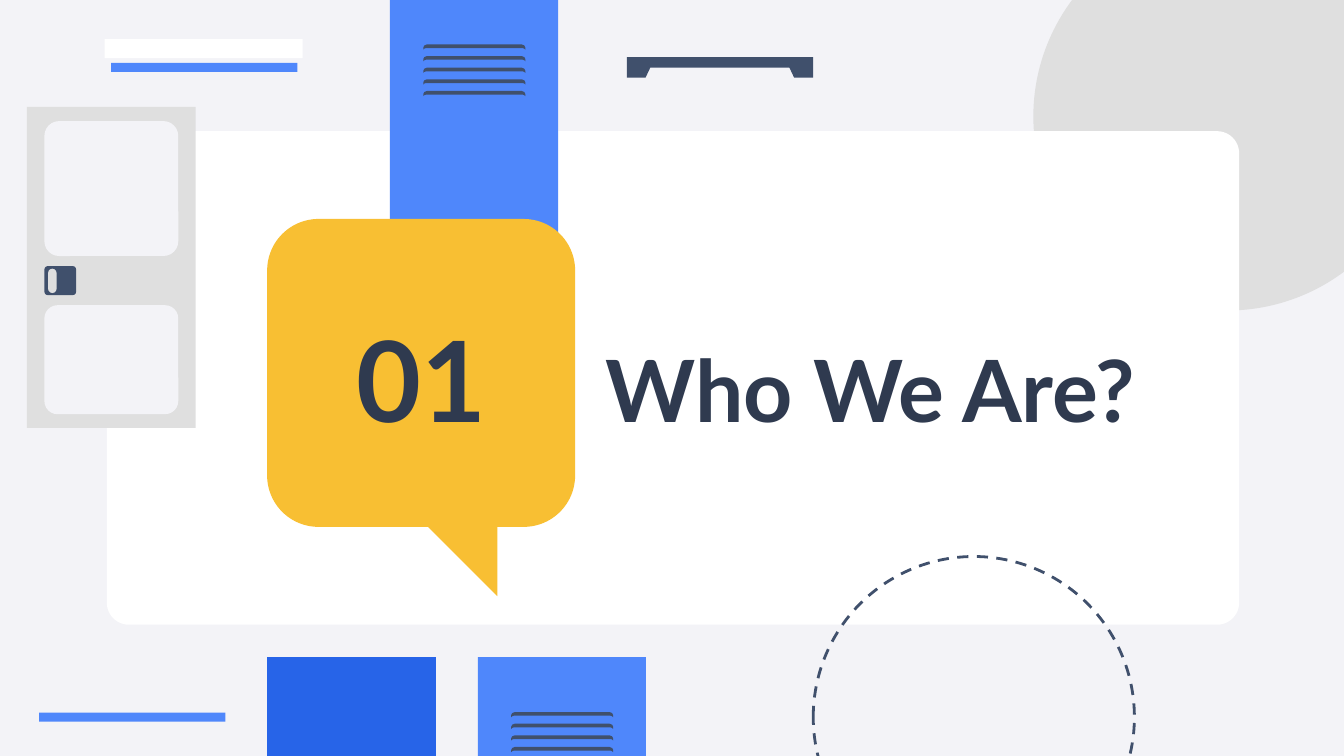
from pptx import Presentation
from pptx.dml.color import RGBColor
from pptx.enum.dml import MSO_LINE
from pptx.enum.shapes import MSO_SHAPE
from pptx.enum.text import MSO_ANCHOR, PP_ALIGN
from pptx.util import Cm, Pt

RECT = MSO_SHAPE.RECTANGLE
ROUND = MSO_SHAPE.ROUNDED_RECTANGLE
OVAL = MSO_SHAPE.OVAL
WEDGE = MSO_SHAPE.RIGHT_TRIANGLE
DASH = MSO_LINE.DASH
TOP, MID = MSO_ANCHOR.TOP, MSO_ANCHOR.MIDDLE
LEFT, MAIN = PP_ALIGN.LEFT, PP_ALIGN.CENTER

HUE = {
    "back": "F3F3F7", "grey": "DFDFDF", "white": "FFFFFF", "sky": "4F87FB",
    "blue": "2764E8", "slate": "40506C", "gold": "F8BF33", "ink": "2F3A4F",
}
HUE = {name: RGBColor.from_string(code) for name, code in HUE.items()}

deck = Presentation()
deck.slide_width, deck.slide_height = Cm(25.4), Cm(14.29)
slide = deck.slides.add_slide(deck.slide_layouts[6])
slide.background.fill.solid()
slide.background.fill.fore_color.rgb = HUE["back"]


def block(kind, x, y, w, h, hue, bend=None):
    item = slide.shapes.add_shape(kind, Cm(x), Cm(y), Cm(w), Cm(h))
    item.shadow.inherit = False
    item.fill.solid()
    item.fill.fore_color.rgb = HUE[hue]
    item.line.fill.background()
    if bend is not None:
        item.adjustments[0] = bend
    return item


def outline(x, y, dots, hue):
    pen = slide.shapes.build_freeform(*dots[0], scale=Cm(0.01))
    pen.add_line_segments(dots[1:], close=True)
    item = pen.convert_to_shape(Cm(x), Cm(y))
    item.shadow.inherit = False
    item.fill.solid()
    item.fill.fore_color.rgb = HUE[hue]
    item.line.fill.background()


block(OVAL, 19.53, -1.47, 7.34, 7.34, "grey")
block(ROUND, 2.02, 2.48, 21.4, 9.33, "white", 0.045)

STRIPE = [(0, 10), (2, 8), (5, 7), (188, 7), (191, 8), (193, 10),
          (193, 6), (191, 2), (186, 0), (7, 0), (2, 2), (0, 6)]
for x, y, count in [(7.37, -0.2, 5), (9.03, 12.42, 4)]:
    block(RECT, x, y, 3.18, 6.07, "sky")
    for row in range(count):
        outline(x + 0.63, y + 1.04 + row * 0.22, STRIPE, "slate")

block(ROUND, 5.05, 4.14, 5.82, 5.82, "gold", 0.167)
block(WEDGE, 7.93, 9.8, 1.47, 1.47, "gold").rotation = 180

for x, y, w, h, words, size, side, hold in [
    (11.2, 6.12, 12.17, 2.57, "Who We Are?", 46, LEFT, TOP),
    (6.22, 5.87, 3.48, 2.54, "01", 60, MAIN, MID),
]:
    frame = slide.shapes.add_textbox(Cm(x), Cm(y), Cm(w), Cm(h)).text_frame
    frame.word_wrap = True
    frame.vertical_anchor = hold
    frame.margin_left = frame.margin_right = Cm(0.25)
    frame.margin_top = frame.margin_bottom = Cm(0.25)
    para = frame.paragraphs[0]
    para.text = words
    para.alignment = side
    para.font.name = "Lato"
    para.font.size = Pt(size)
    para.font.bold = True
    para.font.color.rgb = HUE["ink"]

BRACKET = [(0, 0), (352, 0), (352, 39), (316, 39),
           (307, 20), (44, 20), (35, 39), (0, 39)]
outline(11.85, 1.08, BRACKET, "slate")

block(RECT, 1.98, 0.74, 3.74, 0.36, "white")
for x, y in [(2.1, 1.19), (0.74, 13.47)]:
    block(RECT, x, y, 3.52, 0.17, "sky")

block(RECT, 0.51, 2.02, 3.19, 6.07, "grey")
for y, h, bend in [(2.29, 2.55, 0.11), (5.77, 2.06, 0.12)]:
    block(ROUND, 0.84, y, 2.53, h, "back", bend)
block(ROUND, 0.84, 5.03, 0.6, 0.55, "slate", 0.12)
block(ROUND, 0.91, 5.08, 0.16, 0.46, "grey", 0.5)

block(RECT, 5.05, 12.42, 3.19, 3.19, "blue")

ring = block(OVAL, 15.37, 10.52, 6.07, 6.07, "white")
ring.fill.background()
ring.line.color.rgb = HUE["slate"]
ring.line.width = Pt(1.5)
ring.line.dash_style = DASH

deck.save("out.pptx")
